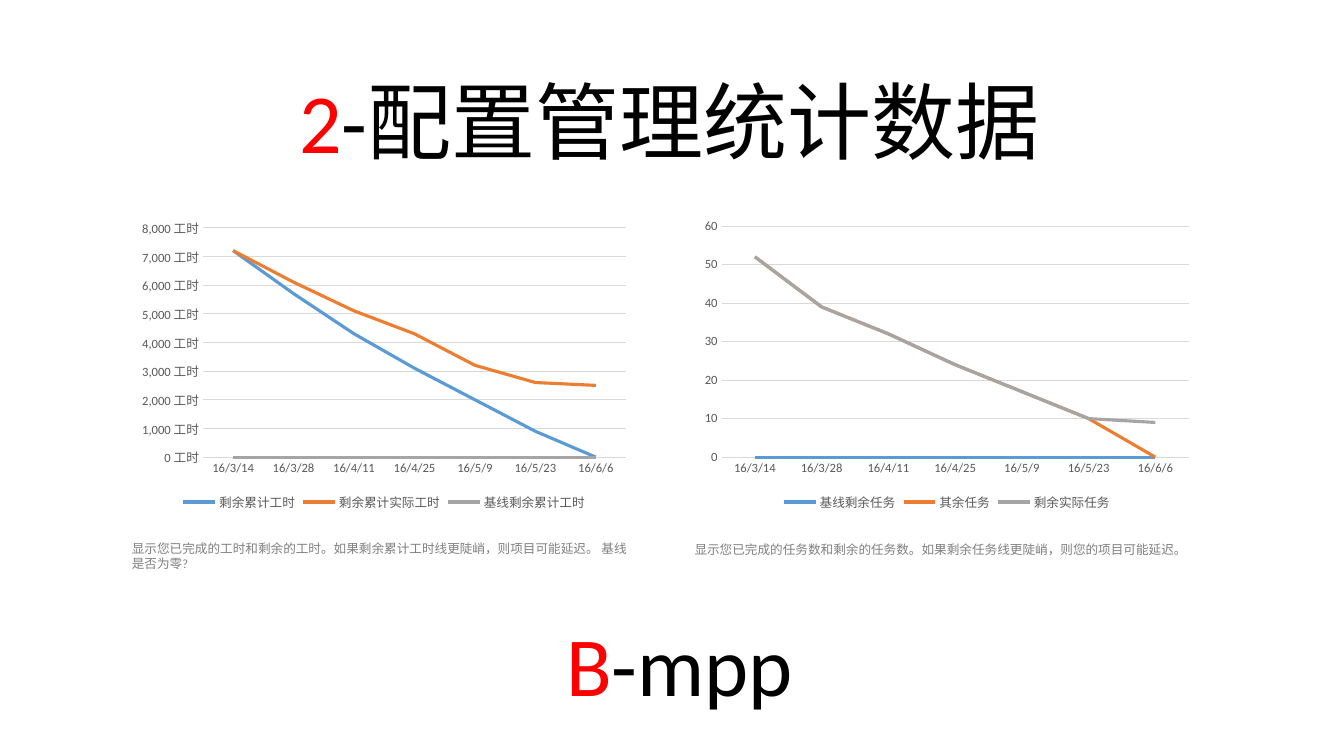
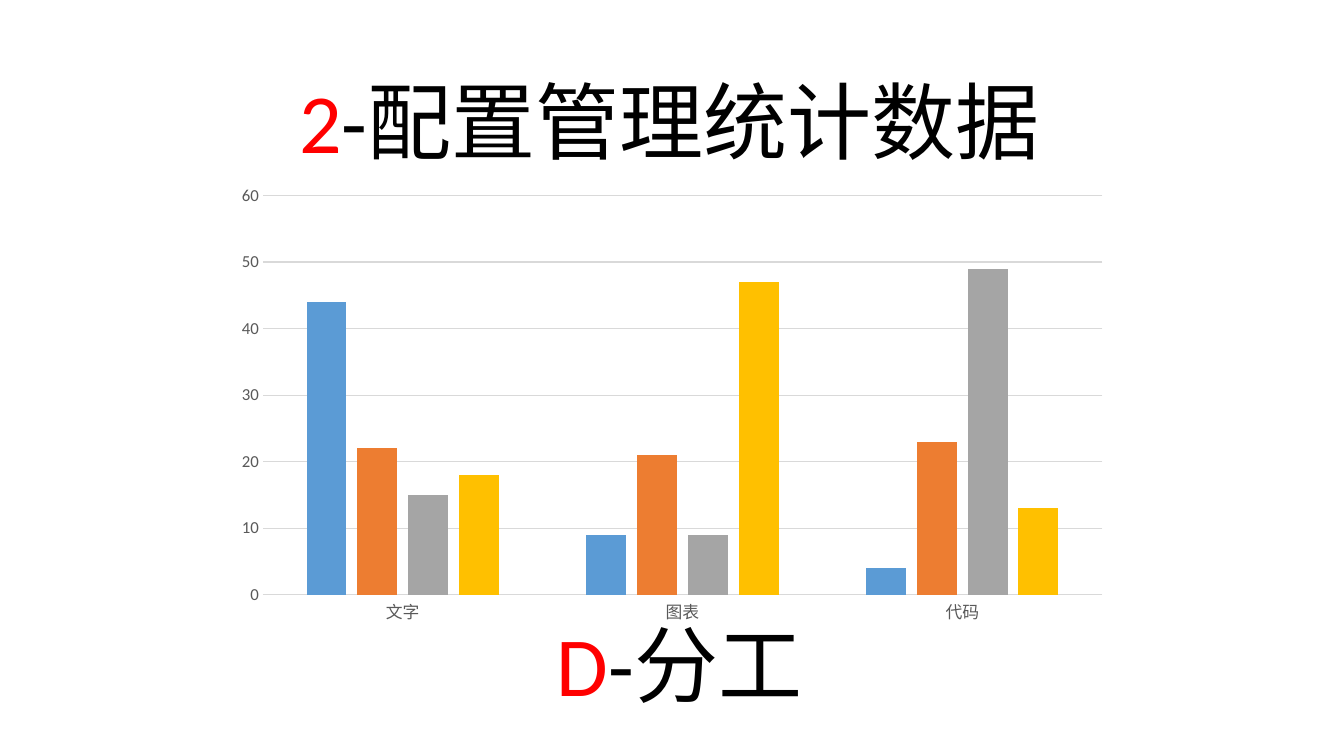
"""Build two slides of configuration management statistics."""
from dataclasses import dataclass

from pptx import Presentation
from pptx import util as u
from pptx.chart import data as chart_data
from pptx.dml.color import RGBColor
from pptx.enum import chart as charts
from pptx.enum import text


@dataclass(frozen=True)
class Theme:
    font: str = "Calibri"
    ink: str = "000000"
    accent: str = "FF0000"
    caption: str = "808080"
    label: str = "595959"
    grid: str = "D9D9D9"
    series: tuple[str, ...] = ("5B9BD5", "ED7D31", "A5A5A5", "FFC000")
    heading_size: int = 60
    small_size: int = 9
    axis_size: int = 12
    series_line: float = 2.25
    thin_line: float = 0.75


@dataclass(frozen=True)
class Area:
    left: float
    top: float
    width: float
    height: float

    def lengths(self) -> tuple[u.Length, ...]:
        return tuple(map(u.Inches, (self.left, self.top, self.width, self.height)))


@dataclass(frozen=True)
class ChartSpec:
    area: Area
    kind: charts.XL_CHART_TYPE
    categories: tuple[str, ...]
    series: dict[str, tuple[float, ...]]
    maximum: int
    step: int
    label_size: int
    number_format: str = "General"


@dataclass(frozen=True)
class Caption:
    area: Area
    words: str


@dataclass(frozen=True)
class Page:
    letter: str
    topic: str
    chart_specs: tuple[ChartSpec, ...]
    captions: tuple[Caption, ...] = ()


THEME = Theme()
TITLE_AREA = Area(1.64, 0.33, 10, 1.42)
TOPIC_AREA = Area(1.74, 5.72, 10, 1.42)
DATES = ("16/3/14", "16/3/28", "16/4/11", "16/4/25", "16/5/9", "16/5/23", "16/6/6")
ZEROS = (0,) * len(DATES)

PAGES = (
    Page(
        "B",
        "-mpp",
        (
            ChartSpec(
                Area(1.31, 2.11, 5, 3), charts.XL_CHART_TYPE.LINE, DATES,
                {
                    "剩余累计工时": (7200, 5700, 4300, 3100, 2000, 900, 0),
                    "剩余累计实际工时": (7200, 6100, 5100, 4300, 3200, 2600, 2500),
                    "基线剩余累计工时": ZEROS,
                },
                8000, 1000, THEME.small_size, '#,##0_ "工时"',
            ),
            ChartSpec(
                Area(6.89, 2.11, 5, 3), charts.XL_CHART_TYPE.LINE, DATES,
                {
                    "基线剩余任务": ZEROS,
                    "其余任务": (52, 39, 32, 24, 17, 10, 0),
                    "剩余实际任务": (52, 39, 32, 24, 17, 10, 9),
                },
                60, 10, THEME.small_size,
            ),
        ),
        (
            Caption(
                Area(1.21, 5.32, 5.1, 0.74),
                "显示您已完成的工时和剩余的工时。如果剩余累计工时线更陡峭，则项目可能延迟。 基线是否为零?",
            ),
            Caption(
                Area(6.79, 5.33, 5.3, 0.7),
                "显示您已完成的任务数和剩余的任务数。如果剩余任务线更陡峭，则您的项目可能延迟。",
            ),
        ),
    ),
    Page(
        "D",
        "-分工",
        (
            ChartSpec(
                Area(2.22, 1.75, 8.89, 4.53), charts.XL_CHART_TYPE.COLUMN_CLUSTERED,
                ("文字", "图表", "代码"),
                {
                    "Series 1": (44, 9, 4),
                    "Series 2": (22, 21, 23),
                    "Series 3": (15, 9, 49),
                    "Series 4": (18, 47, 13),
                },
                60, 10, THEME.axis_size,
            ),
        ),
    ),
)


def rgb(value: str) -> RGBColor:
    return RGBColor.from_string(value)


def style_font(font, size: float, color: str) -> None:
    font.name = THEME.font
    font.size = u.Pt(size)
    font.color.rgb = rgb(color)


def style_line(line, color: str, width: float) -> None:
    line.color.rgb = rgb(color)
    line.width = u.Pt(width)


def write_heading(box, mark: str, words: str) -> None:
    frame = box.text_frame
    frame.word_wrap = True
    frame.auto_size = text.MSO_AUTO_SIZE.NONE
    frame.vertical_anchor = text.MSO_ANCHOR.BOTTOM
    para = frame.paragraphs[0]
    para.alignment = text.PP_ALIGN.CENTER
    para.line_spacing = 0.9
    for part, color in ((mark, THEME.accent), (words, THEME.ink)):
        span = para.add_run()
        span.text = part
        style_font(span.font, THEME.heading_size, color)


def add_caption(slide, caption: Caption) -> None:
    box = slide.shapes.add_textbox(*caption.area.lengths())
    frame = box.text_frame
    frame.word_wrap = True
    frame.text = caption.words
    style_font(frame.paragraphs[0].runs[0].font, THEME.small_size, THEME.caption)


def style_axes(chart, spec: ChartSpec) -> None:
    for axis in (chart.category_axis, chart.value_axis):
        axis.major_tick_mark = charts.XL_TICK_MARK.NONE
        axis.minor_tick_mark = charts.XL_TICK_MARK.NONE
        axis.format.line.fill.background()
        style_font(axis.tick_labels.font, spec.label_size, THEME.label)
    values = chart.value_axis
    values.minimum_scale, values.maximum_scale = 0, spec.maximum
    values.major_unit = spec.step
    values.tick_labels.number_format = spec.number_format
    values.tick_labels.number_format_is_linked = False
    style_line(values.major_gridlines.format.line, THEME.grid, THEME.thin_line)


def add_chart(slide, spec: ChartSpec) -> None:
    data = chart_data.CategoryChartData()
    data.categories = spec.categories
    for name, values in spec.series.items():
        data.add_series(name, values)
    chart = slide.shapes.add_chart(spec.kind, *spec.area.lengths(), data).chart
    chart.has_title = False
    style_font(chart.font, spec.label_size, THEME.label)
    style_axes(chart, spec)
    is_line = spec.kind == charts.XL_CHART_TYPE.LINE
    chart.has_legend = is_line
    plot = chart.plots[0]
    plot.vary_by_categories = False
    if is_line:
        chart.legend.position = charts.XL_LEGEND_POSITION.BOTTOM
        chart.legend.include_in_layout = False
        style_font(chart.legend.font, spec.label_size, THEME.label)
    else:
        plot.gap_width, plot.overlap = 219, -27
        style_line(chart.category_axis.format.line, THEME.grid, THEME.thin_line)
    for series, color in zip(plot.series, THEME.series):
        if is_line:
            series.smooth = False
            series.marker.style = charts.XL_MARKER_STYLE.NONE
            style_line(series.format.line, color, THEME.series_line)
        else:
            series.format.fill.solid()
            series.format.fill.fore_color.rgb = rgb(color)


def add_page(deck, page: Page) -> None:
    slide = deck.slides.add_slide(deck.slide_layouts[5])
    title = slide.shapes.title
    title.left, title.top, title.width, title.height = TITLE_AREA.lengths()
    write_heading(title, "2", "-配置管理统计数据")
    topic = slide.shapes.add_textbox(*TOPIC_AREA.lengths())
    write_heading(topic, page.letter, page.topic)
    for spec in page.chart_specs:
        add_chart(slide, spec)
    for caption in page.captions:
        add_caption(slide, caption)


def main() -> None:
    deck = Presentation()
    deck.slide_width, deck.slide_height = u.Inches(13.33), u.Inches(7.5)
    for page in PAGES:
        add_page(deck, page)
    deck.save("out.pptx")


if __name__ == "__main__":
    main()
